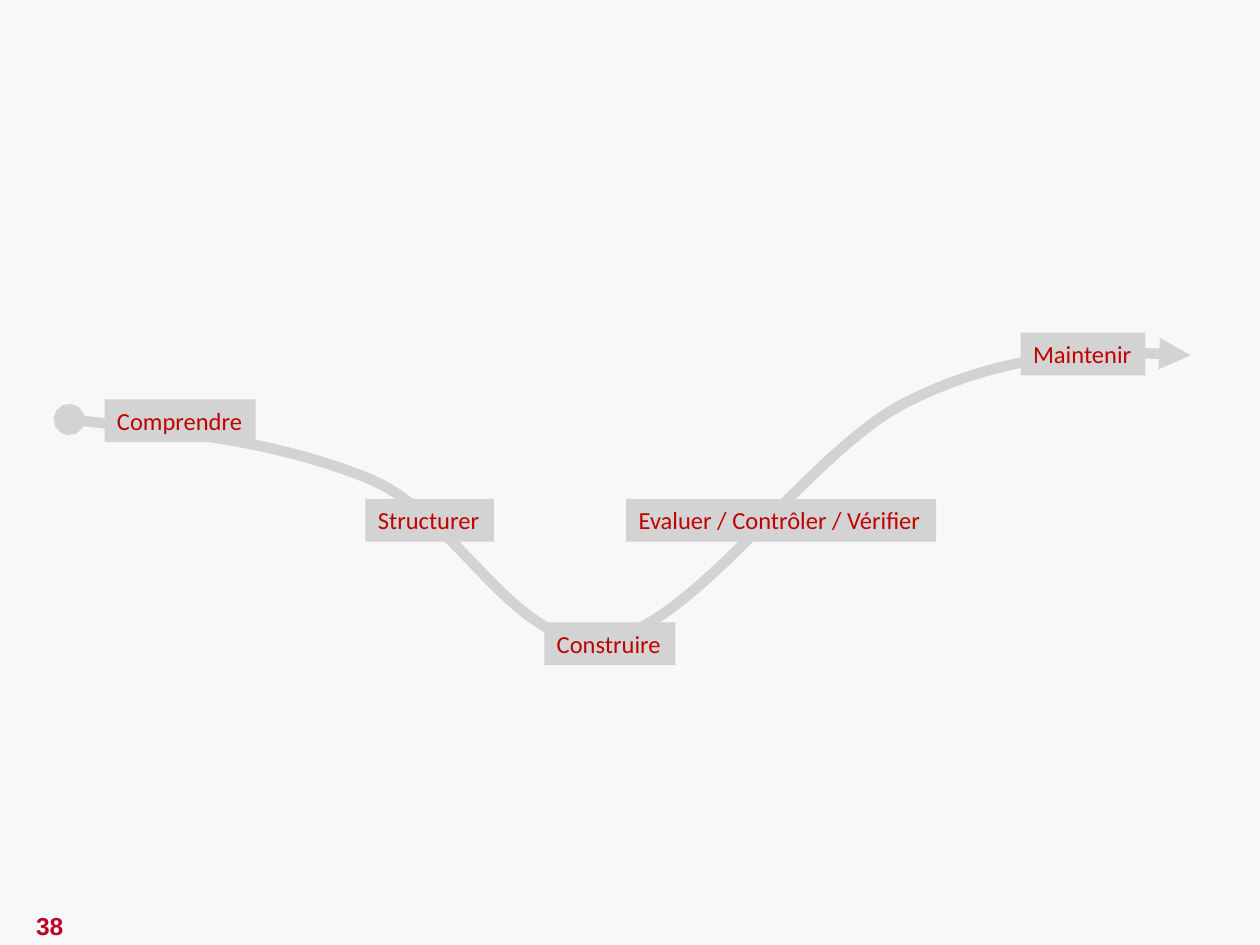
from typing import NamedTuple

import pptx
import pptx.dml.color
import pptx.enum.shapes
import pptx.enum.text
import pptx.oxml
import pptx.oxml.ns
import pptx.slide
import pptx.util
from pptx.dml.color import RGBColor
from pptx.util import Inches

BACKGROUND = RGBColor(0xF8, 0xF8, 0xF8)
GREY = RGBColor(0xD3, 0xD3, 0xD3)
STEP_RED = RGBColor(0xC0, 0x00, 0x00)
NUMBER_RED = RGBColor(0xBC, 0x00, 0x2B)
FONT_SIZE = pptx.util.Pt(14)
LABEL_HEIGHT = 0.34

Point = tuple[float, float]


class Step(NamedTuple):
    name: str
    left: float
    top: float
    width: float


class Curve(NamedTuple):
    control_1: Point
    control_2: Point
    end: Point


STEPS = [
    Step("Comprendre", 0.83, 3.17, 1.2),
    Step("Structurer", 2.9, 3.96, 1.02),
    Step("Construire", 4.32, 4.94, 1.04),
    Step("Evaluer / Contrôler / Vérifier", 4.97, 3.96, 2.46),
    Step("Maintenir", 8.1, 2.64, 0.99),
]
JOURNEY_START = (0.55, 3.33)
JOURNEY = [
    Curve((1.39, 3.42), (2.22, 3.51), (2.93, 3.8)),
    Curve((3.64, 4.09), (4.09, 5.18), (4.8, 5.08)),
    Curve((5.52, 4.98), (6.44, 3.55), (7.22, 3.18)),
    Curve((7.99, 2.8), (8.9, 2.78), (9.45, 2.82)),
]


def to_emu(point: Point) -> tuple[int, int]:
    return Inches(point[0]), Inches(point[1])


def draw_journey(slide: pptx.slide.Slide, start: Point, curves: list[Curve]) -> None:
    """Draw a freeform through the curve ends, then bend its segments."""
    builder = slide.shapes.build_freeform(*to_emu(start))
    builder.add_line_segments([to_emu(curve.end) for curve in curves], close=False)
    journey = builder.convert_to_shape()
    journey.shadow.inherit = False
    journey.fill.background()
    journey.line.color.rgb = GREY
    journey.line.width = pptx.util.Pt(6)

    namespace = pptx.oxml.ns.nsdecls("a")
    segments = list(journey._element.iter(pptx.oxml.ns.qn("a:lnTo")))
    for segment, curve in zip(segments, curves):
        points = "".join(
            f'<a:pt x="{x - journey.left}" y="{y - journey.top}"/>'
            for x, y in map(to_emu, curve)
        )
        bend = pptx.oxml.parse_xml(f"<a:cubicBezTo {namespace}>{points}</a:cubicBezTo>")
        segment.getparent().replace(segment, bend)

    outline = journey.line._get_or_add_ln()
    for tag, kind in (("headEnd", "oval"), ("tailEnd", "triangle")):
        outline.append(pptx.oxml.parse_xml(f'<a:{tag} {namespace} type="{kind}"/>'))


def draw_step(slide: pptx.slide.Slide, step: Step) -> None:
    label = slide.shapes.add_shape(
        pptx.enum.shapes.MSO_SHAPE.RECTANGLE,
        Inches(step.left), Inches(step.top), Inches(step.width), Inches(LABEL_HEIGHT),
    )
    label.shadow.inherit = False
    label.fill.solid()
    label.fill.fore_color.rgb = GREY
    label.line.fill.background()
    frame = label.text_frame
    frame.text = step.name
    frame.word_wrap = False
    frame.auto_size = pptx.enum.text.MSO_AUTO_SIZE.SHAPE_TO_FIT_TEXT
    frame.vertical_anchor = pptx.enum.text.MSO_ANCHOR.TOP
    paragraph = frame.paragraphs[0]
    paragraph.alignment = pptx.enum.text.PP_ALIGN.LEFT
    paragraph.font.name = "Calibri"
    paragraph.font.size = FONT_SIZE
    paragraph.font.color.rgb = STEP_RED


def draw_page_number(slide: pptx.slide.Slide, number: str) -> None:
    box = slide.shapes.add_textbox(Inches(-0.02), Inches(7.18), Inches(0.83), Inches(0.34))
    frame = box.text_frame
    frame.text = number
    frame.word_wrap = True
    frame.auto_size = pptx.enum.text.MSO_AUTO_SIZE.SHAPE_TO_FIT_TEXT
    frame.vertical_anchor = pptx.enum.text.MSO_ANCHOR.MIDDLE
    paragraph = frame.paragraphs[0]
    paragraph.alignment = pptx.enum.text.PP_ALIGN.CENTER
    paragraph.font.name = "Arial"
    paragraph.font.size = FONT_SIZE
    paragraph.font.bold = True
    paragraph.font.color.rgb = NUMBER_RED


def main() -> None:
    presentation = pptx.Presentation()
    presentation.slide_width = Inches(10)
    presentation.slide_height = Inches(7.5)
    slide = presentation.slides.add_slide(presentation.slide_layouts[6])
    slide.background.fill.solid()
    slide.background.fill.fore_color.rgb = BACKGROUND

    draw_page_number(slide, "38")
    draw_journey(slide, JOURNEY_START, JOURNEY)
    for step in STEPS:
        draw_step(slide, step)
    presentation.save("out.pptx")


if __name__ == "__main__":
    main()
